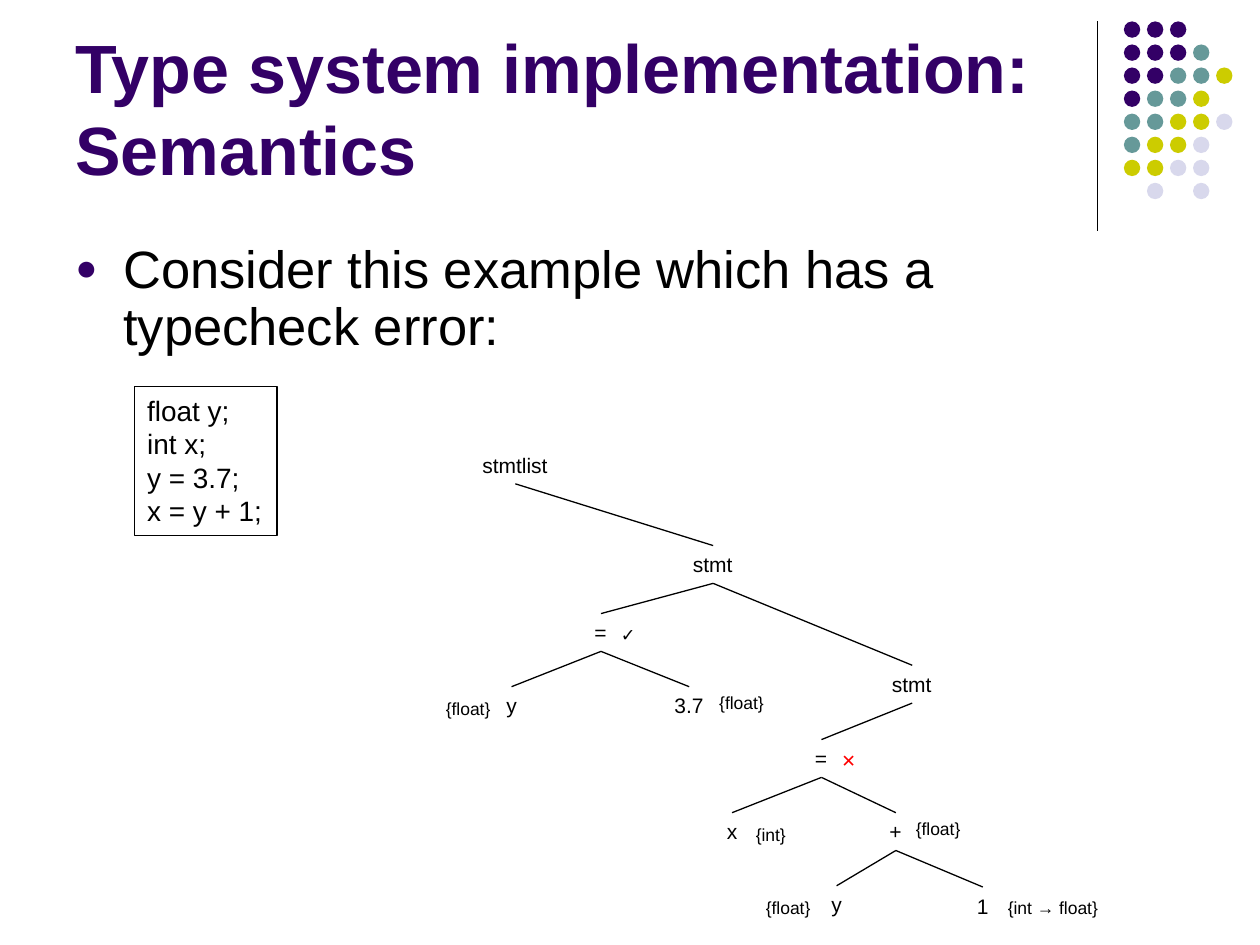
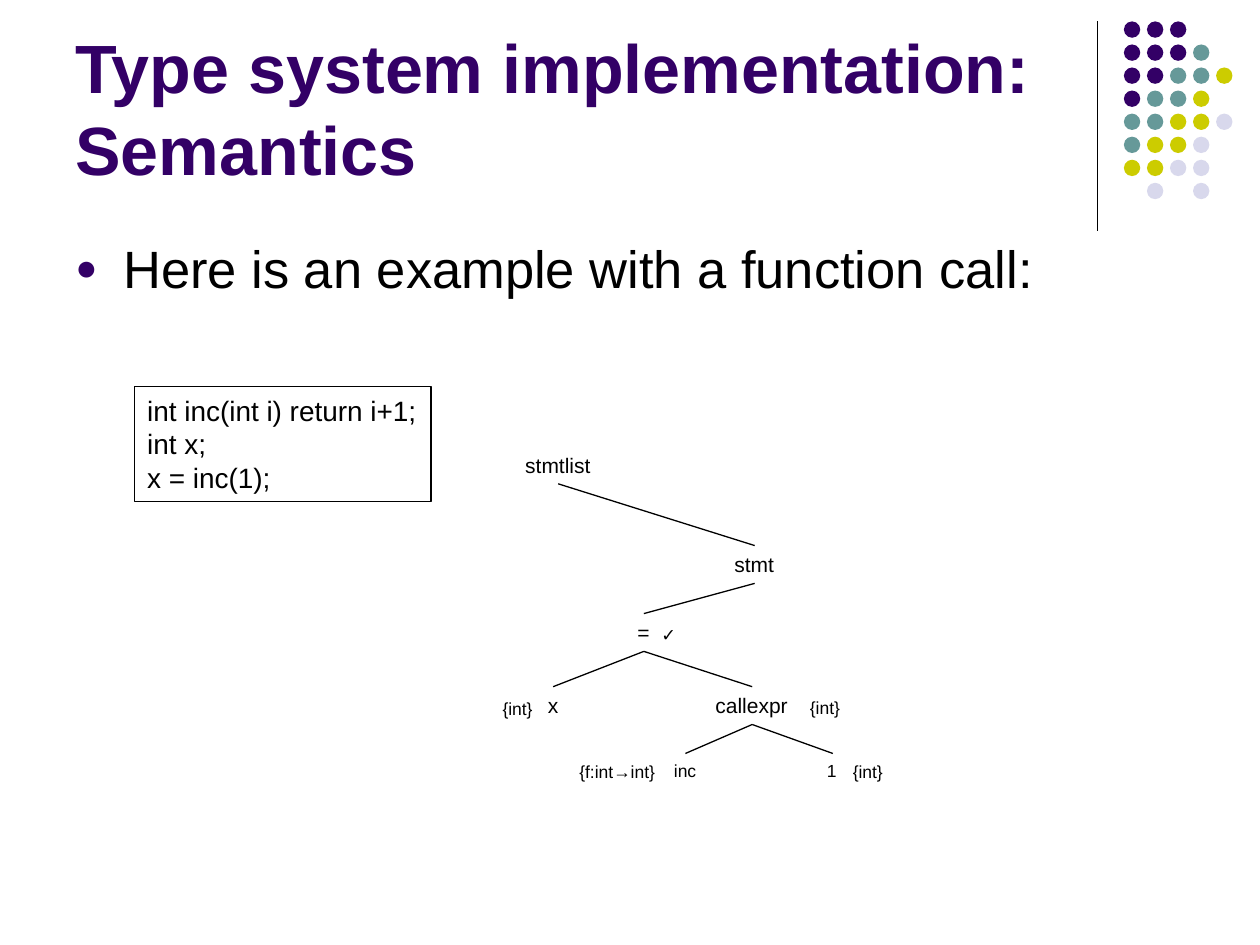
"""Build two slides on type checking with annotated syntax trees."""
from lxml.etree import SubElement
from pptx import Presentation
from pptx.dml.color import RGBColor
from pptx.enum.shapes import MSO_CONNECTOR, MSO_SHAPE
from pptx.enum.text import MSO_ANCHOR as Anchor, MSO_AUTO_SIZE as AutoSize, PP_ALIGN as Align
from pptx.oxml.ns import qn
from pptx.util import Inches, Pt

PURPLE = RGBColor(0x33, 0x00, 0x66)
TEAL = RGBColor(0x66, 0x99, 0x99)
OLIVE = RGBColor(0xCC, 0xCC, 0x00)
LAVENDER = RGBColor(0xD8, 0xD8, 0xEC)
BLACK = RGBColor(0x00, 0x00, 0x00)
RED = RGBColor(0xFF, 0x00, 0x00)

FONT = "Arial"
TITLE = "Type system implementation: Semantics"
DOT_COLORS = {"P": PURPLE, "T": TEAL, "O": OLIVE, "L": LAVENDER}
DOT_ROWS = ["PPP", "PPPT", "PPTTO", "PTTO", "TTOOL", "TOOL", "OOLL", " L L"]
DOT_SIZE, DOT_PITCH = 1.3, 1.83
LABEL_HEIGHTS = {12: 3, 10: 2.7}
LABEL_WIDTHS = {
    "stmtlist": 7.2, "stmt": 5.2, "callexpr": 7.8, "3.7": 4.3, "inc": 3.8,
    "=": 3, "+": 3, "x": 2.8, "y": 2.8, "1": 2.9, "✓": 3.4, "✕": 3.4,
    "{int}": 4.4, "{float}": 5.6, "{int → float}": 9.2, "{f:int→int}": 8,
}

# Each node: name, text, centre column, top row, text size, parent.
# Each annotation: text, left column, top row, colour.
SLIDES = [
    {
        "bullet": "Consider this example which has a typecheck error:",
        "code": ["float y;", "int x;", "y = 3.7;", "x = y + 1;"],
        "code_size": (11.3, 11.8),
        "nodes": [
            ("list", "stmtlist", 40.9, 35.4, 12, None),
            ("first", "stmt", 56.6, 43.3, 12, "list"),
            ("second", "stmt", 72.4, 52.8, 12, "first"),
            ("first assign", "=", 47.7, 48.7, 12, "first"),
            ("target y", "y", 40.6, 54.5, 12, "first assign"),
            ("constant", "3.7", 54.7, 54.5, 12, "first assign"),
            ("second assign", "=", 65.2, 58.7, 12, "second"),
            ("target x", "x", 58.1, 64.5, 12, "second assign"),
            ("sum", "+", 71.1, 64.5, 12, "second assign"),
            ("operand y", "y", 66.4, 70.3, 12, "sum"),
            ("operand one", "1", 78, 70.4, 12, "sum"),
        ],
        "annotations": [
            ("{float}", 59.8, 70.7, BLACK),
            ("{int → float}", 79, 70.7, BLACK),
            ("{float}", 71.7, 64.4, BLACK),
            ("{int}", 59, 64.9, BLACK),
            ("✕", 65.8, 59, RED),
            ("{float}", 34.4, 54.9, BLACK),
            ("{float}", 56.1, 54.4, BLACK),
            ("✓", 48.3, 49, BLACK),
        ],
    },
    {
        "bullet": "Here is an example with a function call:",
        "code": ["int inc(int i) return i+1;", "int x;", "x = inc(1);"],
        "code_size": (23.5, 9.1),
        "nodes": [
            ("list", "stmtlist", 44.3, 35.4, 12, None),
            ("first", "stmt", 59.9, 43.3, 12, "list"),
            ("assign", "=", 51.1, 48.7, 12, "first"),
            ("target x", "x", 43.9, 54.5, 12, "assign"),
            ("call", "callexpr", 59.7, 54.5, 12, "assign"),
            ("function", "inc", 54.4, 59.8, 10, "call"),
            ("argument", "1", 66.1, 59.8, 10, "call"),
        ],
        "annotations": [
            ("{f:int→int}", 45, 59.9, BLACK),
            ("{int}", 66.7, 59.9, BLACK),
            ("{int}", 63.3, 54.8, BLACK),
            ("{int}", 38.9, 54.9, BLACK),
            ("✓", 51.5, 49, BLACK),
        ],
    },
]

presentation = Presentation()
presentation.slide_width, presentation.slide_height = Inches(10), Inches(7.5)
COLUMN = presentation.slide_width / 100
ROW = presentation.slide_height / 75


def place(left, top, width, height):
    """Turn grid columns and rows into slide lengths."""
    return [round(n * unit) for n, unit in zip((left, top, width, height), (COLUMN, ROW) * 2)]


def write(shape, lines, size, color=BLACK, bold=False, wrap=False):
    """Fill a shape with left-aligned lines and return its text frame."""
    frame = shape.text_frame
    frame.text = "\n".join(lines)
    frame.word_wrap = wrap
    frame.auto_size = AutoSize.NONE if wrap else AutoSize.SHAPE_TO_FIT_TEXT
    frame.vertical_anchor = Anchor.TOP
    for paragraph in frame.paragraphs:
        paragraph.alignment = Align.LEFT
        for run in paragraph.runs:
            run.font.name, run.font.size, run.font.bold = FONT, Pt(size), bold
            run.font.color.rgb = color
    return frame


for content in SLIDES:
    slide = presentation.slides.add_slide(presentation.slide_layouts[6])
    shapes = slide.shapes

    left, top, right, bottom = place(87.1, 1.7, 87.1, 18.3)
    connectors = [shapes.add_connector(MSO_CONNECTOR.STRAIGHT, left, top, right, bottom)]

    dots = shapes.add_group_shape()
    for row, pattern in enumerate(DOT_ROWS):
        for column, key in enumerate(pattern):
            if key in DOT_COLORS:
                dot = dots.shapes.add_shape(MSO_SHAPE.OVAL, *place(
                    89.2 + column * DOT_PITCH, 1.7 + row * DOT_PITCH, DOT_SIZE, DOT_SIZE))
                dot.shadow.inherit = False
                dot.fill.solid()
                dot.fill.fore_color.rgb = DOT_COLORS[key]
                dot.line.fill.background()

    title = shapes.add_textbox(*place(5, 1.3, 82.5, 14.2))
    write(title, [TITLE], 39, PURPLE, bold=True, wrap=True).vertical_anchor = Anchor.BOTTOM

    body = shapes.add_textbox(*place(5, 18.8, 90, 10.4))
    paragraph = write(body, [content["bullet"]], 30, wrap=True).paragraphs[0]
    paragraph.line_spacing, paragraph.space_before = 0.9, Pt(6)
    properties = paragraph._p.get_or_add_pPr()
    properties.set("marL", str(Inches(0.38)))
    properties.set("indent", str(-Inches(0.38)))
    SubElement(SubElement(properties, qn("a:buClr")), qn("a:srgbClr")).set("val", str(PURPLE))
    SubElement(properties, qn("a:buSzPct")).set("val", "70000")
    SubElement(properties, qn("a:buFont")).set("typeface", FONT)
    SubElement(properties, qn("a:buChar")).set("char", "●")

    code_box = shapes.add_shape(MSO_SHAPE.RECTANGLE, *place(10.7, 30.7, *content["code_size"]))
    code_box.shadow.inherit = False
    code_box.fill.background()
    code_box.line.color.rgb, code_box.line.width = BLACK, Pt(0.75)
    write(code_box, content["code"], 16)

    nodes = {}
    for name, text, center, top, size, parent in content["nodes"]:
        width = LABEL_WIDTHS[text]
        nodes[name] = shapes.add_textbox(
            *place(center - width / 2, top, width, LABEL_HEIGHTS[size]))
        write(nodes[name], [text], size)
        if parent:
            branch = shapes.add_connector(MSO_CONNECTOR.STRAIGHT, 0, 0, 0, 0)
            branch.begin_connect(nodes[parent], 2)
            branch.end_connect(nodes[name], 0)
            connectors.append(branch)

    for connector in connectors:
        connector.line.color.rgb, connector.line.width = BLACK, Pt(0.75)
        SubElement(connector._element.spPr, qn("a:effectLst"))

    for text, left, top, color in content["annotations"]:
        label = shapes.add_textbox(*place(left, top, LABEL_WIDTHS[text], LABEL_HEIGHTS[10]))
        write(label, [text], 10, color)

presentation.save("out.pptx")
